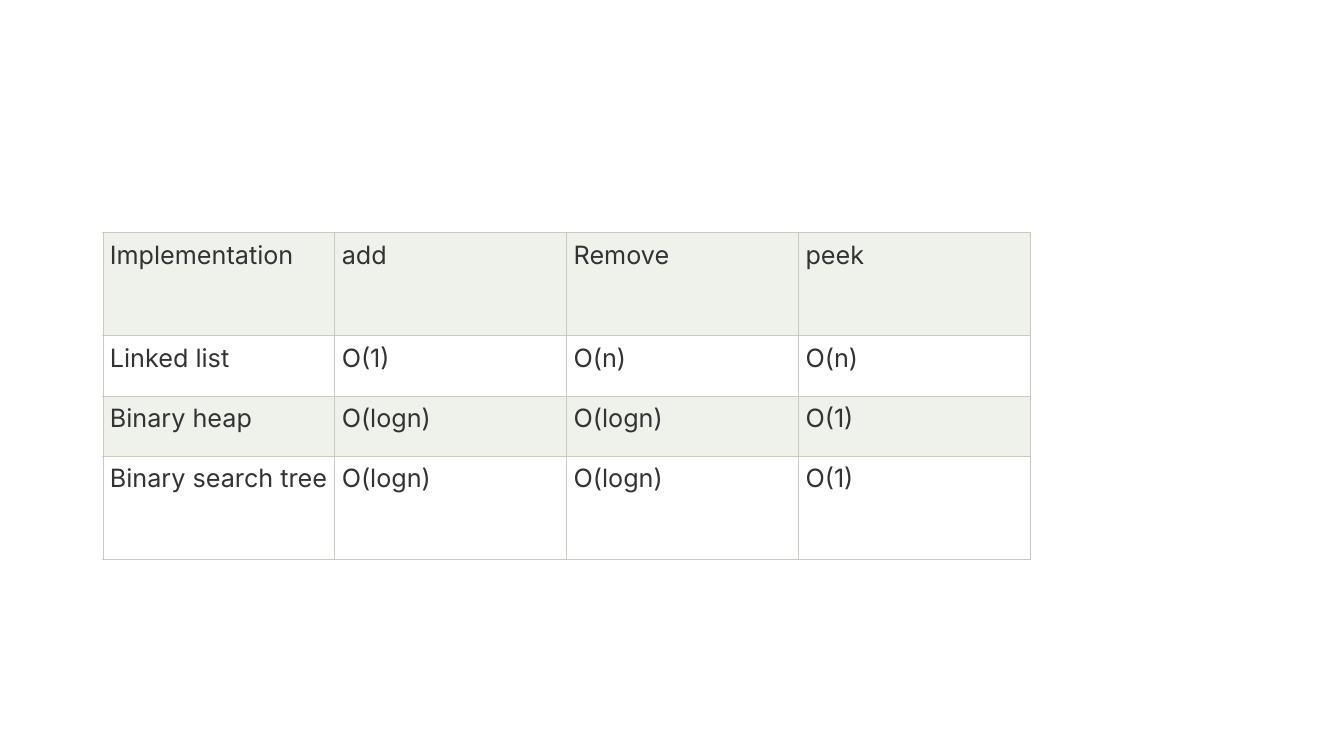
from dataclasses import dataclass

import pptx
import pptx.dml.color
import pptx.enum.text
import pptx.oxml
import pptx.oxml.ns
import pptx.table
import pptx.util

Inches = pptx.util.Inches
RGBColor = pptx.dml.color.RGBColor

TEXT = RGBColor(0x33, 0x33, 0x33)
BORDER = RGBColor(0xC7, 0xCC, 0xBE)
BAND = RGBColor(0xEF, 0xF1, 0xEB)
WHITE = RGBColor(0xFF, 0xFF, 0xFF)
FONT = "Inter"
BORDER_WIDTH = pptx.util.Pt(0.6)
MARGIN = Inches(0.07)
COLUMN_WIDTH = 2.3


@dataclass(frozen=True)
class TableRow:
    height: float
    fill: RGBColor
    texts: tuple[str, ...]


ROWS = (
    TableRow(1.02, BAND, ("Implementation", "add", "Remove", "peek")),
    TableRow(0.6, WHITE, ("Linked list", "O(1)", "O(n)", "O(n)")),
    TableRow(0.6, BAND, ("Binary heap", "O(logn)", "O(logn)", "O(1)")),
    TableRow(1.02, WHITE, ("Binary search tree", "O(logn)", "O(logn)", "O(1)")),
)


def add_borders(cell: pptx.table._Cell) -> None:
    """Line all four sides; call before the fill, which must follow in the XML."""
    properties = cell._tc.get_or_add_tcPr()
    for side in ("lnL", "lnR", "lnT", "lnB"):
        properties.append(pptx.oxml.parse_xml(
            f'<a:{side} {pptx.oxml.ns.nsdecls("a")} w="{BORDER_WIDTH}">'
            f'<a:solidFill><a:srgbClr val="{BORDER}"/></a:solidFill></a:{side}>'
        ))


def fill_cell(cell: pptx.table._Cell, text: str, fill: RGBColor) -> None:
    add_borders(cell)
    cell.fill.solid()
    cell.fill.fore_color.rgb = fill
    cell.margin_left = cell.margin_right = MARGIN
    cell.margin_top = cell.margin_bottom = MARGIN
    cell.text_frame.text = text
    para = cell.text_frame.paragraphs[0]
    para.alignment = pptx.enum.text.PP_ALIGN.JUSTIFY
    font = para.runs[0].font
    font.name = FONT
    font.size = pptx.util.Pt(18)
    font.bold = False
    font.color.rgb = TEXT


def main() -> None:
    deck = pptx.Presentation()
    deck.slide_width = Inches(13.33)
    deck.slide_height = Inches(7.5)
    page = deck.slides.add_slide(deck.slide_layouts[6])

    column_count = len(ROWS[0].texts)
    table = page.shapes.add_table(
        len(ROWS), column_count, Inches(1.02), Inches(2.31),
        Inches(COLUMN_WIDTH * column_count),
        Inches(sum(row.height for row in ROWS)),
    ).table
    for column in table.columns:
        column.width = Inches(COLUMN_WIDTH)
    for row_index, row in enumerate(ROWS):
        table.rows[row_index].height = Inches(row.height)
        for column_index, text in enumerate(row.texts):
            fill_cell(table.cell(row_index, column_index), text, row.fill)

    deck.save("out.pptx")


if __name__ == "__main__":
    main()
